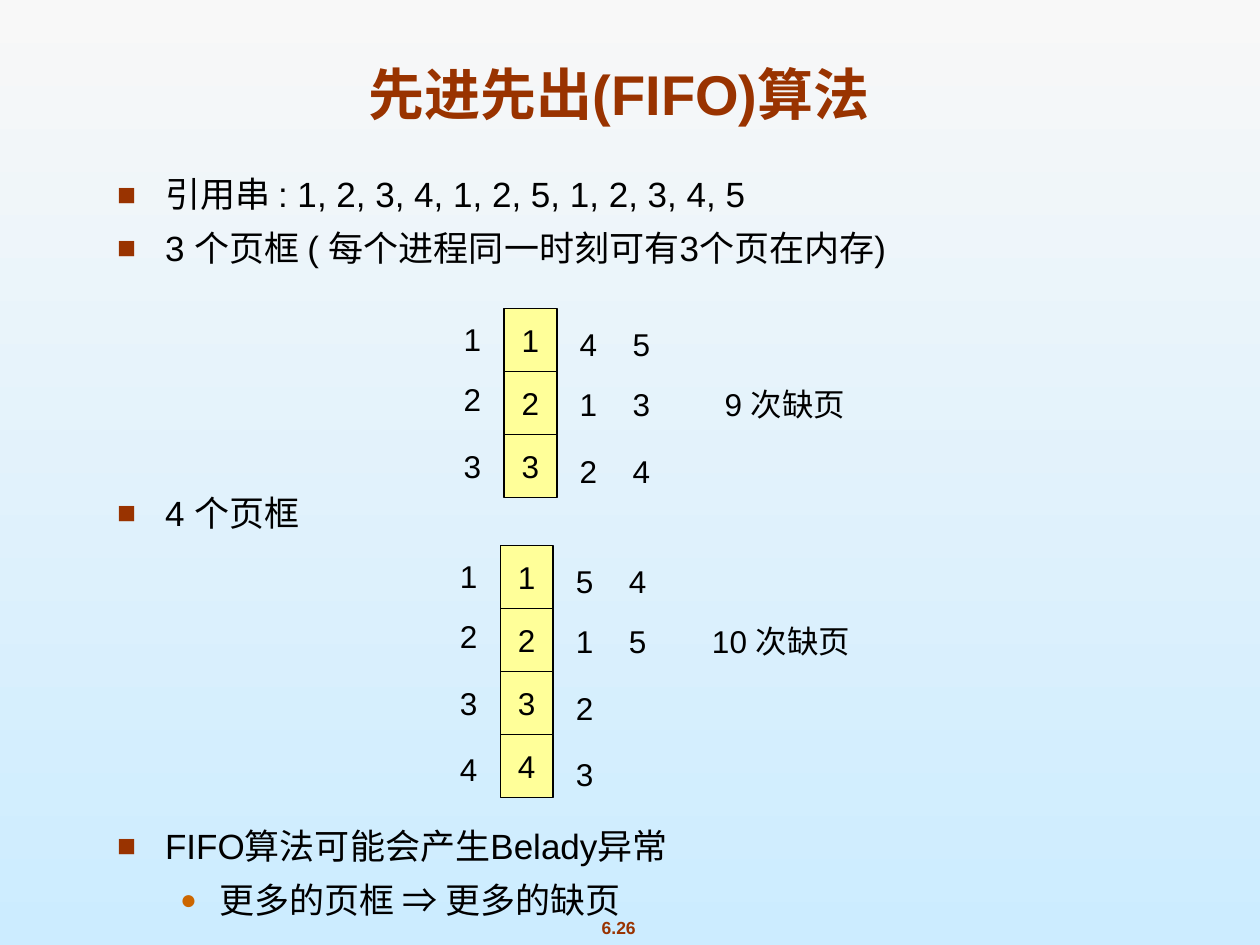
"""Build a slide on the FIFO page replacement algorithm."""
from lxml import etree
from pptx import Presentation, util as u
from pptx.dml.color import RGBColor
from pptx.enum import shapes, text
from pptx.oxml.ns import qn

BROWN, ORANGE, BLACK, YELLOW = "993300", "CC6600", "000000", "FFFF99"
BACKGROUND = ["F8F8F8", "CCECFF"]
TITLE = "先进先出(FIFO)算法"
BULLETS = [
    ("引用串 : 1, 2, 3, 4, 1, 2, 5, 1, 2, 3, 4, 5", 0, 0),
    ("3 个页框 ( 每个进程同一时刻可有3个页在内存)", 0, 8.8),
    ("4 个页框", 0, 130),
    ("FIFO算法可能会产生Belady异常", 0, 168.8),
    ("更多的页框 ⇒ 更多的缺页", 1, 9),
]
BULLET_STYLES = [("■", BROWN, 90, 0.38, -0.38), ("●", ORANGE, 80, 0.81, -0.31)]
FRAME_TABLES = [
    {"left": 4, "top": 2.45, "frames": "123", "replaced": ["412", "534"],
     "faults": "9 次缺页", "faults_center": 6.23},
    {"left": 3.97, "top": 4.33, "frames": "1234", "replaced": ["5123", "45"],
     "faults": "10 次缺页", "faults_center": 6.2},
]
ROW_OFFSETS = [0, 0.48, 1.01, 1.53]
FRAME_WIDTH, FRAME_HEIGHT = 0.42, 0.5
LABEL_WIDTH, LABEL_HEIGHT = 0.34, 0.4
FAULTS_WIDTH = 1.8


def color(value):
    return RGBColor.from_string(value)


def place(shape, left, top, width, height):
    shape.left, shape.top = u.Inches(left), u.Inches(top)
    shape.width, shape.height = u.Inches(width), u.Inches(height)


def write(paragraph, content, size=18, fill=BLACK, bold=False,
          align=text.PP_ALIGN.CENTER):
    paragraph.alignment = align
    run = paragraph.add_run()
    run.text = content
    run.font.name, run.font.size, run.font.bold = "Arial", u.Pt(size), bold
    run.font.color.rgb = color(fill)


def add_bullet(paragraph, level):
    character, fill, percent, margin, indent = BULLET_STYLES[level]
    properties = paragraph._p.get_or_add_pPr()
    properties.set("marL", str(u.Inches(margin)))
    properties.set("indent", str(u.Inches(indent)))
    bullet_color = etree.SubElement(properties, qn("a:buClr"))
    etree.SubElement(bullet_color, qn("a:srgbClr"), val=fill)
    etree.SubElement(properties, qn("a:buSzPct"), val=str(percent * 1000))
    etree.SubElement(properties, qn("a:buFont"), typeface="Arial")
    etree.SubElement(properties, qn("a:buChar"), char=character)


def add_label(slide, content, left, top, width=LABEL_WIDTH, height=LABEL_HEIGHT, **style):
    box = slide.shapes.add_textbox(*map(u.Inches, (left, top, width, height)))
    box.text_frame.word_wrap = False
    box.text_frame.vertical_anchor = text.MSO_ANCHOR.MIDDLE
    write(box.text_frame.paragraphs[0], content, **style)


def add_frame(slide, content, left, top):
    shape = slide.shapes.add_shape(
        shapes.MSO_SHAPE.RECTANGLE,
        *map(u.Inches, (left, top, FRAME_WIDTH, FRAME_HEIGHT)))
    shape.shadow.inherit = False
    shape.fill.solid()
    shape.fill.fore_color.rgb = color(YELLOW)
    shape.line.color.rgb = color(BLACK)
    shape.line.width = u.Pt(0.75)
    shape.text_frame.word_wrap = False
    shape.text_frame.vertical_anchor = text.MSO_ANCHOR.MIDDLE
    write(shape.text_frame.paragraphs[0], content)


def add_frame_table(slide, table):
    left, top = table["left"], table["top"]
    for row, page in enumerate(table["frames"]):
        add_frame(slide, page, left, top + row * FRAME_HEIGHT)
    columns = [(table["frames"], -0.42, 0.04)]
    columns += [(pages, 0.5 + FRAME_WIDTH * index, 0.08)
                for index, pages in enumerate(table["replaced"])]
    for pages, shift, drop in columns:
        for page, offset in zip(pages, ROW_OFFSETS):
            add_label(slide, page, left + shift, top + drop + offset)
    add_label(slide, table["faults"], table["faults_center"] - FAULTS_WIDTH / 2,
              top + 0.08 + ROW_OFFSETS[1], FAULTS_WIDTH)


def main():
    presentation = Presentation()
    presentation.slide_width, presentation.slide_height = u.Inches(10), u.Inches(7.5)
    slide = presentation.slides.add_slide(presentation.slide_layouts[1])
    background = slide.background.fill
    background.gradient()
    background.gradient_angle = 270
    for stop, value in zip(background.gradient_stops, BACKGROUND):
        stop.color.rgb = color(value)

    title, body = slide.placeholders
    place(title, 1.15, 0.42, 7.53, 0.5)
    place(body, 0.83, 1.36, 8.93, 6.14)
    for placeholder in (title, body):
        placeholder.text_frame.auto_size = text.MSO_AUTO_SIZE.NONE
        placeholder.text_frame.vertical_anchor = text.MSO_ANCHOR.TOP
    write(title.text_frame.paragraphs[0], TITLE, size=32, fill=BROWN, bold=True)

    for index, (content, level, space) in enumerate(BULLETS):
        frame = body.text_frame
        paragraph = frame.add_paragraph() if index else frame.paragraphs[0]
        paragraph.level = level
        add_bullet(paragraph, level)
        paragraph.line_spacing, paragraph.space_before = 0.9, u.Pt(space)
        write(paragraph, content, size=20, align=text.PP_ALIGN.LEFT)

    for table in FRAME_TABLES:
        add_frame_table(slide, table)
    add_label(slide, "6.26", 4.42, 7.23, 0.98, 0.27, size=10, fill=BROWN, bold=True)
    presentation.save("out.pptx")


if __name__ == "__main__":
    main()
